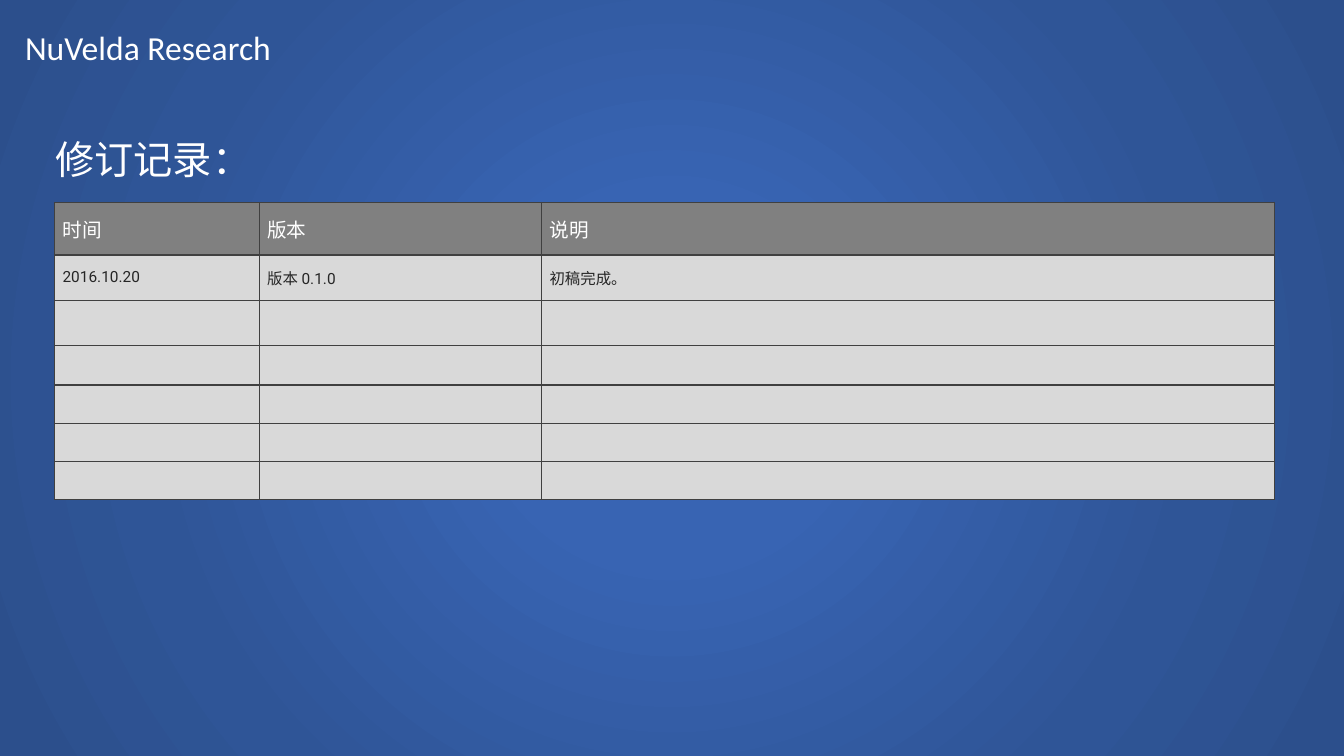
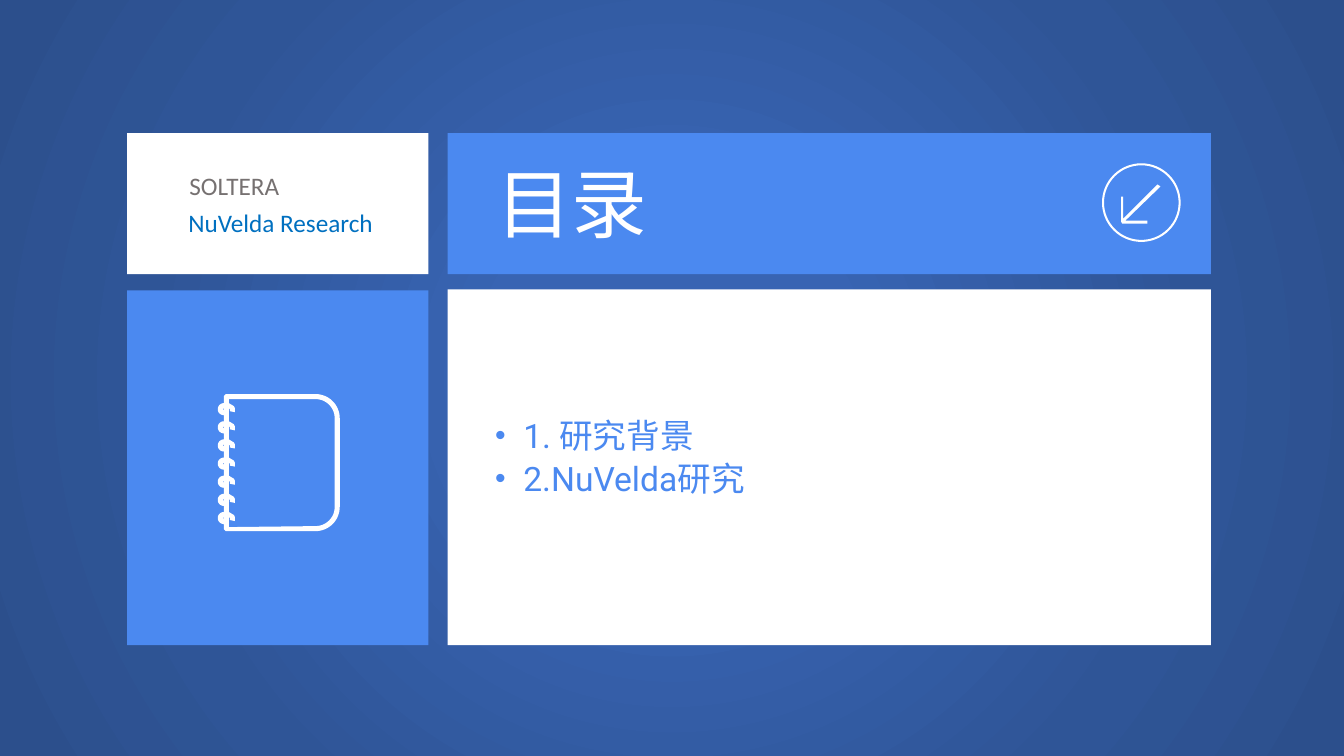
from dataclasses import dataclass
from math import cos, radians, sin

from pptx import Presentation
from pptx.dml.color import RGBColor
from pptx.enum.shapes import MSO_SHAPE
from pptx.enum.text import MSO_ANCHOR, MSO_AUTO_SIZE, PP_ALIGN
from pptx.oxml import parse_xml
from pptx.oxml.ns import nsdecls, qn
from pptx.util import Inches, Pt


@dataclass(frozen=True)
class Theme:
    white: str = "FFFFFF"
    blue: str = "4B89F0"
    link_blue: str = "0070C0"
    grey: str = "767171"
    header_fill: str = "808080"
    row_fill: str = "D9D9D9"
    border: str = "404040"
    ink: str = "262626"
    glow: tuple = ((0, "3864B3"), (23, "3864B3"), (69, "2F5597"), (97, "2C4F8C"))
    label_font: str = "Calibri"
    main_font: str = "Roboto"
    display: int = 54
    title: int = 28
    header: int = 24
    label: int = 18
    column: int = 14
    cell: int = 11


theme = Theme()


def write(shape, *lines, size, color, font=theme.main_font, at=None):
    """Fill a box, placeholder or cell; at gives left, top, width, height."""
    frame = shape.text_frame
    if at:
        shape.left, shape.top, shape.width, shape.height = map(Inches, at)
        frame.word_wrap = True
        frame.auto_size = MSO_AUTO_SIZE.SHAPE_TO_FIT_TEXT
        frame.vertical_anchor = MSO_ANCHOR.TOP
    for index, line in enumerate(lines):
        para = frame.add_paragraph() if index else frame.paragraphs[0]
        para.alignment = PP_ALIGN.LEFT
        span = para.add_run()
        span.text = line
        span.font.name = font
        span.font.size = Pt(size)
        span.font.bold = False
        span.font.color.rgb = RGBColor.from_string(color)
    return frame


def arc(x, y, radius, start, end, steps=16):
    """Points along a circle, in degrees clockwise from the right."""
    angles = [radians(start + (end - start) * step / steps) for step in range(steps + 1)]
    return [(x + radius * cos(angle), y + radius * sin(angle)) for angle in angles]


# Deck and shared background
deck = Presentation()
deck.slide_width, deck.slide_height = Inches(13.33), Inches(7.5)
deck.slide_master.background.fill.gradient()
gradient = deck.slide_master.element.find(".//" + qn("a:gradFill"))
stops = "".join(
    f'<a:gs pos="{place * 1000}"><a:srgbClr val="{color}"/></a:gs>' for place, color in theme.glow
)
gradient.getparent().replace(gradient, parse_xml(
    f'<a:gradFill {nsdecls("a")} rotWithShape="1"><a:gsLst>{stops}</a:gsLst><a:path path="circle">'
    '<a:fillToRect l="50000" t="50000" r="50000" b="50000"/></a:path></a:gradFill>'
))

# Slide 1: revision history
history = deck.slides.add_slide(deck.slide_layouts[5])
write(history.shapes.add_textbox(0, 0, 0, 0), "NuVelda Research", size=theme.header,
      color=theme.white, font=theme.label_font, at=(0.15, 0.22, 5.04, 0.5))
write(history.shapes.title, "修订记录：", size=theme.title, color=theme.white,
      at=(0.45, 1.29, 11.77, 0.57))

# Revision table
column_widths = [2.03, 2.8, 7.27]
row_heights = [0.52, 0.45, 0.45, 0.39, 0.38, 0.38, 0.38]
records = [["时间", "版本", "说明"], ["2016.10.20", "版本 0.1.0", "初稿完成。"]]
table = history.shapes.add_table(
    len(row_heights), len(column_widths), Inches(0.54), Inches(2.01),
    Inches(sum(column_widths)), Inches(sum(row_heights))).table
table.horz_banding = False
for column, width in zip(table.columns, column_widths):
    column.width = Inches(width)
for row_index, (row, height) in enumerate(zip(table.rows, row_heights)):
    row.height = Inches(height)
    is_header = row_index == 0
    for column_index, cell in enumerate(row.cells):
        cell.vertical_anchor = MSO_ANCHOR.MIDDLE
        cell.margin_left = cell.margin_right = Inches(0.08)
        cell.margin_top = cell.margin_bottom = Inches(0.04)
        if row_index < len(records):
            write(cell, records[row_index][column_index],
                  size=theme.column if is_header else theme.cell,
                  color=theme.white if is_header else theme.ink)
        properties = cell._tc.get_or_add_tcPr()
        for side in ("lnL", "lnR", "lnT", "lnB"):
            properties.append(parse_xml(
                f'<a:{side} {nsdecls("a")} w="12700"><a:solidFill>'
                f'<a:srgbClr val="{theme.border}"/></a:solidFill></a:{side}>'
            ))
        cell.fill.solid()
        cell.fill.fore_color.rgb = RGBColor.from_string(
            theme.header_fill if is_header else theme.row_fill)

# Slide 2: contents, panels first
contents = deck.slides.add_slide(deck.slide_layouts[1])
panels = [
    (4.44, 1.32, 7.57, 1.4, theme.blue),
    (4.44, 2.87, 7.57, 3.53, theme.white),
    (1.26, 1.32, 2.99, 1.4, theme.white),
    (1.26, 2.88, 2.99, 3.52, theme.blue),
]
for *bounds, color in panels:
    panel = contents.shapes.add_shape(MSO_SHAPE.RECTANGLE, *map(Inches, bounds))
    panel.shadow.inherit = False
    panel.fill.solid()
    panel.fill.fore_color.rgb = RGBColor.from_string(color)
    panel.line.fill.background()

# Icon outlines: arrow in a ring, spiral notebook
arrow_icon = [
    arc(11.32, 2.01, 0.39, 0, 360, 64),
    arc(11.32, 2.01, 0.37, 0, 360, 64),
    [(11.38, 2.19), (11.38, 2.22), (11.13, 2.22), (11.12, 2.2), (11.12, 1.95), (11.14, 1.95),
     (11.14, 2.17), (11.48, 1.83), (11.51, 1.85), (11.16, 2.19)],
]
rings = [4.06 + 0.18 * index for index in reversed(range(7))]
cover = arc(3.13, 4.15, 0.24, -90, 0) + arc(3.13, 5.03, 0.24, 0, 90) + [(2.24, 5.27), (2.22, 5.25)]
sheet = arc(3.13, 4.15, 0.19, -90, 0) + arc(3.13, 5.03, 0.19, 0, 90) + [(2.27, 5.23)]
hook = [(2.27, -0.01), (2.28, 0), (2.28, 0.02), (2.33, 0.03), (2.33, -0.01), (2.32, -0.03),
        (2.27, -0.06)]
for ring in rings:
    cover += arc(2.22, ring, 0.06, 90, 270)
    sheet += [(x, ring + offset) for x, offset in hook]
cover += [(2.22, 3.93), (2.24, 3.91)]
sheet += [(2.27, 3.96)]
eyelets = [[(2.21, ring), (2.22, ring - 0.01), (2.22, ring + 0.01)] for ring in rings]
for outlines in (arrow_icon, [cover, sheet, *eyelets]):
    scaled = [[(Inches(x), Inches(y)) for x, y in outline] for outline in outlines]
    builder = contents.shapes.build_freeform(*scaled[0][0])
    builder.add_line_segments(scaled[0][1:], close=True)
    for outline in scaled[1:]:
        builder.move_to(*outline[0])
        builder.add_line_segments(outline[1:], close=True)
    icon = builder.convert_to_shape()
    icon.shadow.inherit = False
    icon.fill.solid()
    icon.fill.fore_color.rgb = RGBColor.from_string(theme.white)
    icon.line.fill.background()

# Name block
for name, color, bounds in [
    ("NuVelda Research", theme.link_blue, (1.77, 2.01, 2.18, 0.4)),
    ("SOLTERA", theme.grey, (1.78, 1.64, 1.72, 0.4)),
]:
    write(contents.shapes.add_textbox(0, 0, 0, 0), name, size=theme.label, color=color,
          font=theme.label_font, at=bounds)

# Title and list, brought in front of the panels
title, agenda = contents.shapes.title, contents.placeholders[1]
write(title, "目录", size=theme.display, color=theme.white, at=(4.82, 1.51, 3.78, 1.01))
frame = write(agenda, "1. 研究背景", "2.NuVelda研究", size=theme.header, color=theme.blue,
              at=(4.84, 4.09, 6.8, 0.96))
frame.margin_left = frame.margin_right = frame.margin_top = frame.margin_bottom = Inches(0.07)
for para in frame.paragraphs:
    para.line_spacing = 0.9
    para.space_before = Pt(4.8)
    properties = para._p.get_or_add_pPr()
    properties.set("marL", str(Inches(0.28)))
    properties.set("indent", str(Inches(-0.28)))
    properties.append(parse_xml(f'<a:buSzPct {nsdecls("a")} val="90000"/>'))
    properties.append(parse_xml(f'<a:buChar {nsdecls("a")} char="•"/>'))
for placeholder in (title, agenda):
    contents.shapes._spTree.append(placeholder._element)

deck.save("out.pptx")
